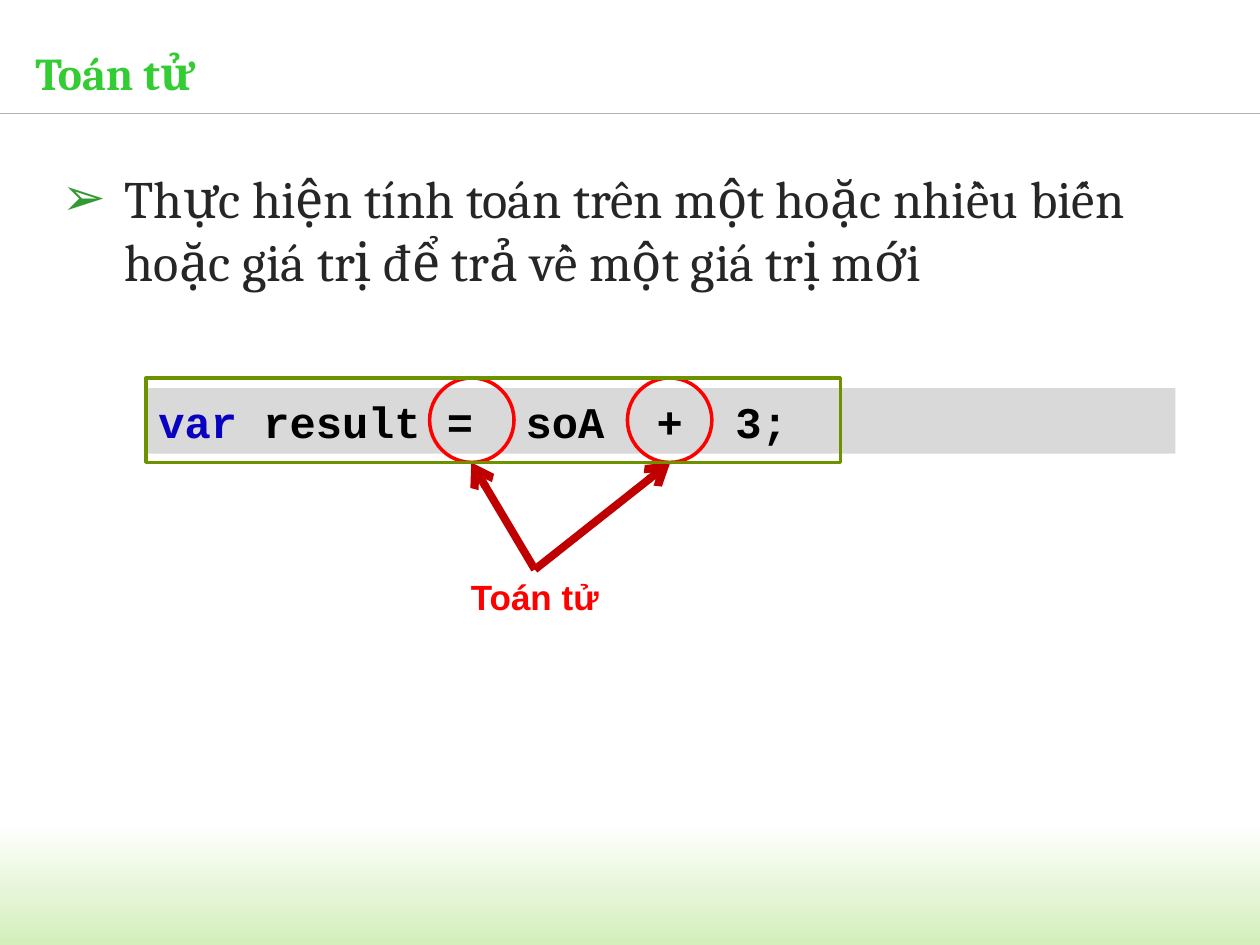
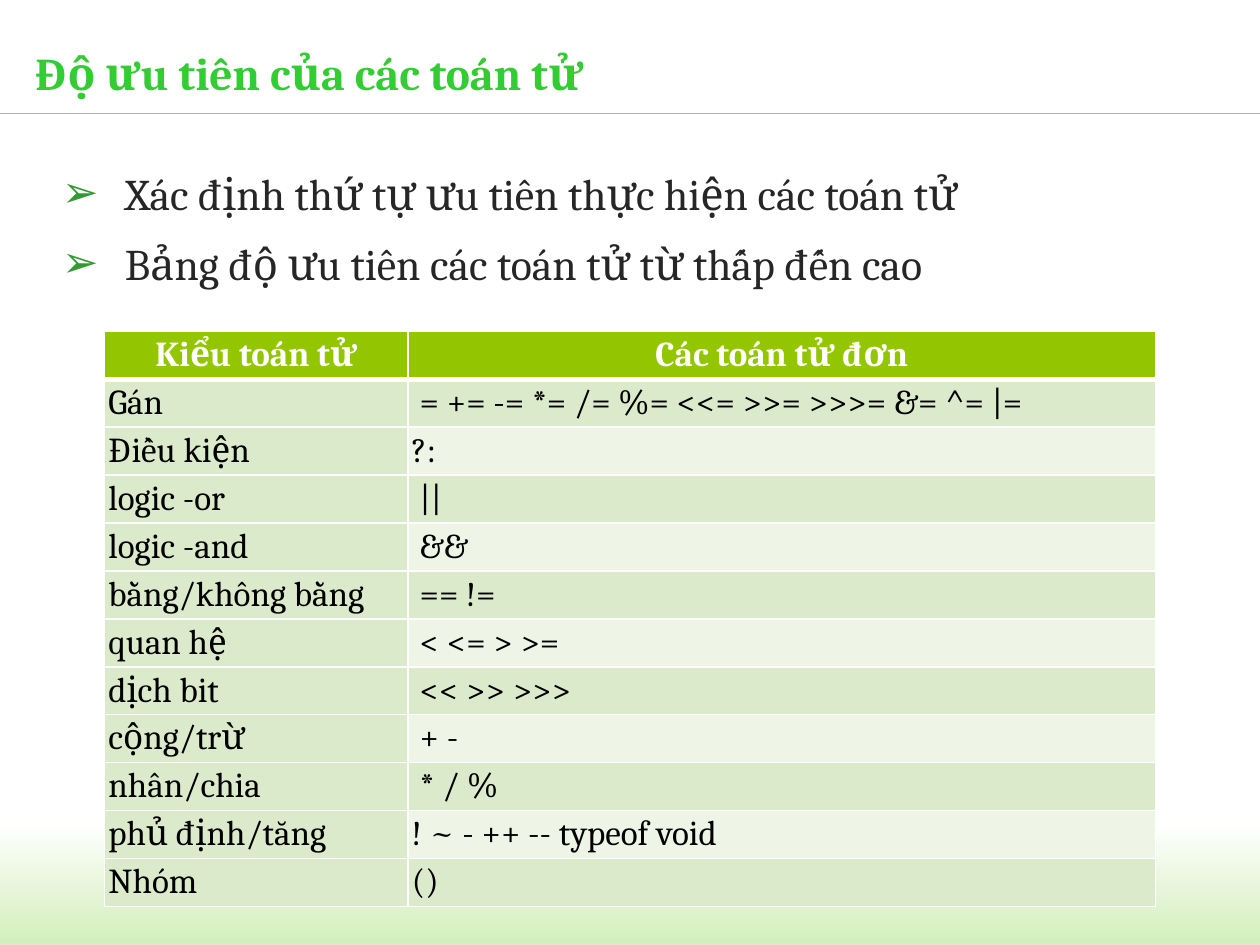
from dataclasses import dataclass

import lxml.etree
import pptx
import pptx.dml.color
import pptx.enum.shapes
import pptx.enum.text
import pptx.oxml.ns
import pptx.util

Inches = pptx.util.Inches
Pt = pptx.util.Pt
qn = pptx.oxml.ns.qn
SHAPE = pptx.enum.shapes.MSO_SHAPE
STRAIGHT = pptx.enum.shapes.MSO_CONNECTOR.STRAIGHT
ALIGN = pptx.enum.text.PP_ALIGN
ANCHOR = pptx.enum.text.MSO_ANCHOR
AUTO_SIZE = pptx.enum.text.MSO_AUTO_SIZE


@dataclass(frozen=True)
class Theme:
    font: str = "Cambria"
    code_font: str = "Courier New"
    label_font: str = "Arial"
    title: str = "33CC33"
    body: str = "262626"
    bullet: str = "339933"
    rule: str = "B2B2B2"
    band_end: str = "D3EFBB"
    white: str = "FFFFFF"
    black: str = "000000"
    code_fill: str = "D9D9D9"
    keyword: str = "0900C0"
    frame: str = "6D9200"
    mark: str = "FF0000"
    arrow: str = "C00000"
    header: str = "94C600"
    row_dark: str = "DCEACC"
    row_light: str = "EEF5E7"
    title_size: int = 26
    code_size: int = 25
    small_size: int = 20


@dataclass(frozen=True)
class Box:
    left: float
    top: float
    width: float
    height: float

    def emu(self) -> tuple:
        return tuple(Inches(v) for v in (self.left, self.top, self.width, self.height))


@dataclass(frozen=True)
class Outline:
    kind: SHAPE
    box: Box
    color: str


@dataclass(frozen=True)
class Arrow:
    x: float
    y: float


THEME = Theme()
TITLE_BOX = Box(0.28, 0.25, 9.37, 0.64)
BODY_BOX = Box(0.49, 1.32, 9.03, 5.03)
BAND_BOX = Box(-0.03, 6.53, 10.03, 0.97)
RULE_Y = 0.9

CODE_BOX = Box(1.16, 3.08, 8.17, 0.52)
LABEL_BOX = Box(3.33, 4.52, 1.83, 0.44)
OPERATOR_MARKS = [Outline(SHAPE.OVAL, Box(x, 3, 0.67, 0.67), THEME.mark) for x in (3.41, 4.98)]
CODE_FRAME = Outline(SHAPE.RECTANGLE, Box(1.16, 3, 5.51, 0.67), THEME.frame)
ARROWS = [Arrow(3.74, 3.67), Arrow(5.32, 3.67)]

TABLE_BOX = Box(0.83, 2.63, 8.34, 4.32)
COLUMN_WIDTHS = (2.41, 5.93)
CELL_MARGIN = 0.03
PRECEDENCE = [
    ("Kiểu toán tử", "Các toán tử đơn"),
    ("Gán", " = += -= *= /= %= <<= >>= >>>= &= ^= |="),
    ("Điều kiện", "?:"),
    ("logic -or", " ||"),
    ("logic -and", " &&"),
    ("bằng/không bằng", " == !="),
    ("quan hệ", " < <= > >="),
    ("dịch bit", " << >> >>>"),
    ("cộng/trừ", " + -"),
    ("nhân/chia", " * / %"),
    ("phủ định/tăng", "! ~ - ++ -- typeof void"),
    ("Nhóm", "()"),
]


def rgb(color: str) -> pptx.dml.color.RGBColor:
    return pptx.dml.color.RGBColor.from_string(color)


def format_run(r, size: float, color: str, font: str = THEME.font, bold: bool = False) -> None:
    r.font.size = Pt(size)
    r.font.name = font
    r.font.bold = bold
    r.font.color.rgb = rgb(color)


def place(sp, box: Box) -> None:
    sp.left, sp.top, sp.width, sp.height = box.emu()


def clear_margins(tf) -> None:
    tf.margin_left = tf.margin_right = tf.margin_top = tf.margin_bottom = 0


def add_line(slide, start: tuple, end: tuple, color: str, width: float):
    points = [Inches(v) for v in (*start, *end)]
    cxn = slide.shapes.add_connector(STRAIGHT, *points)
    cxn.line.color.rgb = rgb(color)
    cxn.line.width = Pt(width)
    lxml.etree.SubElement(cxn._element.spPr, qn("a:effectLst"))
    return cxn


def add_outline(slide, outline: Outline) -> None:
    sp = slide.shapes.add_shape(outline.kind, *outline.box.emu())
    sp.shadow.inherit = False
    sp.fill.background()
    sp.line.color.rgb = rgb(outline.color)
    sp.line.width = Pt(2)


def decorate_layout(layout, slide) -> None:
    """Place the layout's placeholders and move the green band and rule onto it."""
    place(layout.placeholders[0], TITLE_BOX)
    place(layout.placeholders[1], BODY_BOX)
    band = slide.shapes.add_shape(SHAPE.RECTANGLE, *BAND_BOX.emu())
    band.shadow.inherit = False
    band.line.fill.background()
    band.fill.gradient()
    band.fill.gradient_angle = 270
    for stop, color in zip(band.fill.gradient_stops, (THEME.white, THEME.band_end)):
        stop.color.rgb = rgb(color)
    rule = add_line(slide, (0, RULE_Y), (10, RULE_Y), THEME.rule, 0.75)
    for index, sp in enumerate((band, rule), start=2):
        layout.shapes.element.insert(index, sp.element)


def set_title(slide, text: str) -> None:
    tf = slide.shapes.title.text_frame
    tf.text = text
    clear_margins(tf)
    tf.auto_size = AUTO_SIZE.NONE
    tf.vertical_anchor = ANCHOR.MIDDLE
    p = tf.paragraphs[0]
    p.alignment = ALIGN.LEFT
    format_run(p.runs[0], THEME.title_size, THEME.title, bold=True)


def set_arrow_bullet(p) -> None:
    pPr = p._p.get_or_add_pPr()
    pPr.set("marL", str(Inches(0.5)))
    pPr.set("indent", str(-Inches(0.5)))
    color = lxml.etree.SubElement(pPr, qn("a:buClr"))
    lxml.etree.SubElement(color, qn("a:srgbClr"), val=THEME.bullet)
    lxml.etree.SubElement(pPr, qn("a:buFont"), typeface=THEME.label_font)
    lxml.etree.SubElement(pPr, qn("a:buChar"), char="➢")


def set_bullets(slide, lines: list[str], size: float) -> None:
    tf = slide.placeholders[1].text_frame
    tf.text = "\n".join(lines)
    clear_margins(tf)
    tf.auto_size = AUTO_SIZE.NONE
    for p in tf.paragraphs:
        p.space_before = Pt(0)
        p.space_after = Pt(0.4 * size)
        set_arrow_bullet(p)
        format_run(p.runs[0], size, THEME.body)


def add_code(slide) -> None:
    sp = slide.shapes.add_shape(SHAPE.RECTANGLE, *CODE_BOX.emu())
    sp.shadow.inherit = False
    sp.fill.solid()
    sp.fill.fore_color.rgb = rgb(THEME.code_fill)
    sp.line.fill.background()
    tf = sp.text_frame
    tf.word_wrap = True
    p = tf.paragraphs[0]
    p.alignment = ALIGN.LEFT
    for text, color in (("var ", THEME.keyword), ("result =  soA  +  3;", THEME.black)):
        r = p.add_run()
        r.text = text
        format_run(r, THEME.code_size, color, THEME.code_font, bold=True)


def add_operator_label(slide):
    label = slide.shapes.add_textbox(*LABEL_BOX.emu())
    tf = label.text_frame
    tf.word_wrap = True
    tf.text = "Toán tử"
    p = tf.paragraphs[0]
    p.alignment = ALIGN.CENTER
    format_run(p.runs[0], THEME.small_size, THEME.mark, THEME.label_font, bold=True)
    return label


def add_arrow(slide, label, arrow: Arrow) -> None:
    start = (LABEL_BOX.left + LABEL_BOX.width / 2, LABEL_BOX.top)
    cxn = add_line(slide, start, (arrow.x, arrow.y), THEME.arrow, 4.5)
    cxn.begin_connect(label, 0)
    lxml.etree.SubElement(cxn.line._get_or_add_ln(), qn("a:tailEnd"), type="arrow")


def set_borders(cell, top: float, bottom: float) -> None:
    tcPr = cell._tc.get_or_add_tcPr()
    for index, (side, width) in enumerate((("L", 1), ("R", 1), ("T", top), ("B", bottom))):
        ln = lxml.etree.Element(qn(f"a:ln{side}"), w=str(Pt(width)))
        fill = lxml.etree.SubElement(ln, qn("a:solidFill"))
        lxml.etree.SubElement(fill, qn("a:srgbClr"), val=THEME.white)
        tcPr.insert(index, ln)


def cell_fill(row: int, col: int) -> str:
    if row == 0:
        return THEME.header
    return THEME.row_light if col == 1 and row % 2 == 0 else THEME.row_dark


def add_precedence_table(slide) -> None:
    frame = slide.shapes.add_table(len(PRECEDENCE), len(COLUMN_WIDTHS), *TABLE_BOX.emu())
    table = frame.table
    for column, width in zip(table.columns, COLUMN_WIDTHS):
        column.width = Inches(width)
    for row, texts in enumerate(PRECEDENCE):
        header = row == 0
        for col, text in enumerate(texts):
            cell = table.cell(row, col)
            cell.margin_left = cell.margin_right = Inches(CELL_MARGIN)
            cell.margin_top = cell.margin_bottom = Inches(CELL_MARGIN)
            cell.fill.solid()
            cell.fill.fore_color.rgb = rgb(cell_fill(row, col))
            set_borders(cell, top=3 if row == 1 else 1, bottom=3 if header else 1)
            cell.text_frame.text = text
            p = cell.text_frame.paragraphs[0]
            p.alignment = ALIGN.CENTER if header else ALIGN.LEFT
            color = THEME.white if header else THEME.black
            format_run(p.runs[0], THEME.small_size, color, bold=header)


def build_operator_slide(slide) -> None:
    set_title(slide, "Toán tử")
    set_bullets(slide, ["Thực hiện tính toán trên một hoặc nhiều biến hoặc giá trị để trả về một giá trị mới"], 30)
    add_code(slide)
    for mark in OPERATOR_MARKS:
        add_outline(slide, mark)
    label = add_operator_label(slide)
    for arrow in ARROWS:
        add_arrow(slide, label, arrow)
    add_outline(slide, CODE_FRAME)


def build_precedence_slide(slide) -> None:
    set_title(slide, "Độ ưu tiên của các toán tử")
    set_bullets(slide, ["Xác định thứ tự ưu tiên thực hiện các toán tử",
                        "Bảng độ ưu tiên các toán tử từ thấp đến cao"], 25)
    add_precedence_table(slide)


def main() -> None:
    prs = pptx.Presentation()
    prs.slide_width, prs.slide_height = Inches(10), Inches(7.5)
    layout = prs.slide_layouts[1]
    operators, precedence = (prs.slides.add_slide(layout) for _ in range(2))
    decorate_layout(layout, operators)
    build_operator_slide(operators)
    build_precedence_slide(precedence)
    prs.save("out.pptx")


if __name__ == "__main__":
    main()
